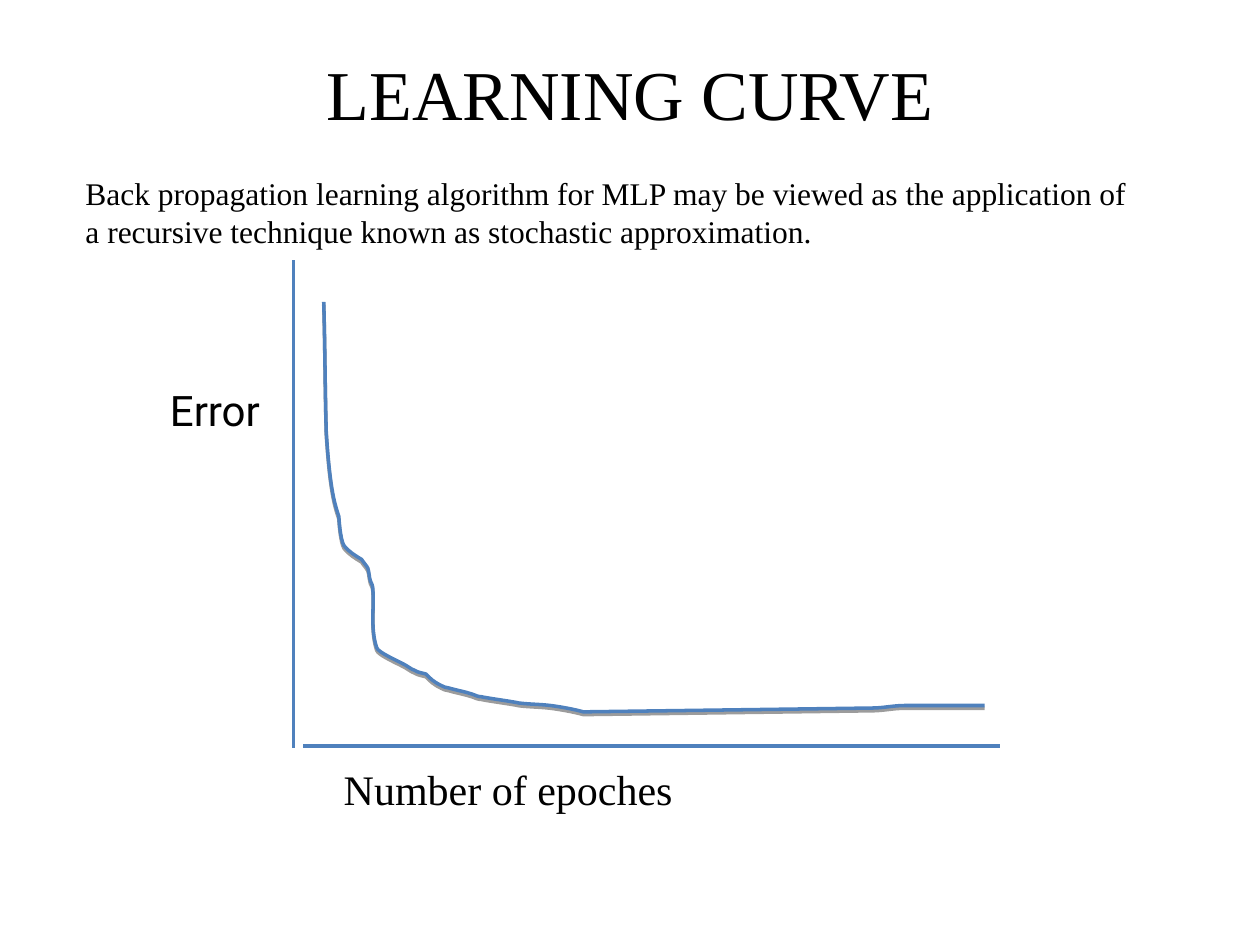
from lxml import etree
from pptx import Presentation
from pptx.dml.color import RGBColor
from pptx.enum.shapes import MSO_CONNECTOR
from pptx.enum.text import MSO_ANCHOR, PP_ALIGN
from pptx.oxml.ns import qn
from pptx.util import Inches, Pt

STRAIGHT = MSO_CONNECTOR.STRAIGHT
LEFT, CENTER = PP_ALIGN.LEFT, PP_ALIGN.CENTER
TOP, MIDDLE = MSO_ANCHOR.TOP, MSO_ANCHOR.MIDDLE

COLORS = {"text": "000000", "line": "4F81BD", "shadow": "000000"}
SERIF, SANS = "Times New Roman", "Roboto"

# Each segment is two control points and an end point, or an end point alone.
CURVE_START = (2.57, 2.41)
CURVE_SEGMENTS = [
    [(2.58, 2.75), (2.58, 3.09), (2.59, 3.43)],
    [(2.6, 3.59), (2.62, 3.85), (2.66, 4)],
    [(2.67, 4.04), (2.68, 4.07), (2.69, 4.1)],
    [(2.69, 4.11), (2.7, 4.28), (2.73, 4.33)],
    [(2.77, 4.38), (2.82, 4.41), (2.87, 4.44)],
    [(2.89, 4.47), (2.91, 4.49), (2.92, 4.51)],
    [(2.93, 4.54), (2.93, 4.58), (2.94, 4.61)],
    [(2.95, 4.63), (2.96, 4.65), (2.96, 4.68)],
    [(2.97, 4.83), (2.94, 4.99), (2.99, 5.14)],
    [(3, 5.18), (3.17, 5.25), (3.22, 5.28)],
    [(3.24, 5.29), (3.26, 5.31), (3.29, 5.32)],
    [(3.32, 5.34), (3.35, 5.34), (3.38, 5.35)],
    [(3.42, 5.39), (3.44, 5.41), (3.5, 5.44)],
    [(3.52, 5.45), (3.54, 5.46), (3.56, 5.46)],
    [(3.63, 5.48), (3.69, 5.49), (3.75, 5.51)],
    [(3.77, 5.52), (3.8, 5.53), (3.82, 5.53)],
    [(3.86, 5.54), (4.08, 5.57), (4.12, 5.58)],
    [(4.2, 5.59), (4.29, 5.59), (4.37, 5.6)],
    [(4.45, 5.61), (4.56, 5.63), (4.63, 5.65)],
    [(6.92, 5.62)],
    [(7.01, 5.62), (7.09, 5.6), (7.18, 5.6)],
    [(7.38, 5.6), (7.59, 5.6), (7.8, 5.6)],
]


class SlideBuilder:
    """Holds the slide and the style shared by its elements."""

    line_width = Pt(2)

    def __init__(self, slide):
        self.slide = slide

    def text(self, box, wording, size, font=SERIF, align=LEFT, anchor=TOP):
        frame = self.slide.shapes.add_textbox(*map(Inches, box)).text_frame
        frame.word_wrap = True
        frame.vertical_anchor = anchor
        paragraph = frame.paragraphs[0]
        paragraph.alignment = align
        run = paragraph.add_run()
        run.text = wording
        run.font.size = Pt(size)
        run.font.name = font
        run.font.color.rgb = RGBColor.from_string(COLORS["text"])

    def style_line(self, shape):
        shape.line.color.rgb = RGBColor.from_string(COLORS["line"])
        shape.line.width = self.line_width
        shape._element.spPr.find(qn("a:ln")).set("cap", "sq")

    def axis(self, start, end):
        axis = self.slide.shapes.add_connector(STRAIGHT, *map(Inches, start + end))
        self.style_line(axis)
        etree.SubElement(axis._element.spPr, qn("a:effectLst"))

    def curve(self, start, segments):
        builder = self.slide.shapes.build_freeform(*map(Inches, start))
        ends = [tuple(map(Inches, segment[-1])) for segment in segments]
        builder.add_line_segments(ends, close=False)
        curve = builder.convert_to_shape()
        self.bend(curve, segments)
        curve.fill.background()
        self.style_line(curve)
        curve.shadow.inherit = False
        self.drop_shadow(curve)

    def bend(self, shape, segments):
        """Turn the lines that have control points into cubic curves."""
        lines = list(shape._element.spPr.iter(qn("a:lnTo")))
        for line, segment in zip(lines, segments):
            if len(segment) == 1:
                continue
            cubic = etree.Element(qn("a:cubicBezTo"))
            for x, y in segment:
                etree.SubElement(cubic, qn("a:pt"), x=str(Inches(x) - shape.left),
                                 y=str(Inches(y) - shape.top))
            line.getparent().replace(line, cubic)

    def drop_shadow(self, shape):
        """Add a sharp shadow straight below the shape."""
        effects = shape._element.spPr.find(qn("a:effectLst"))
        shadow = etree.SubElement(effects, qn("a:outerShdw"), blurRad="0",
                                  dist=str(Pt(1.6)), dir="5400000", rotWithShape="0")
        color = etree.SubElement(shadow, qn("a:srgbClr"), val=COLORS["shadow"])
        etree.SubElement(color, qn("a:alpha"), val="38000")


def main():
    presentation = Presentation()
    presentation.slide_width, presentation.slide_height = Inches(10), Inches(7.5)
    builder = SlideBuilder(presentation.slides.add_slide(presentation.slide_layouts[6]))

    builder.text((0.5, 0.3, 9, 0.87), "LEARNING CURVE", 40, align=CENTER, anchor=MIDDLE)
    builder.text((2.63, 6.01, 4, 0.5), "Number of epoches", 24)
    builder.axis((2.33, 2.08), (2.33, 5.92))
    builder.axis((2.42, 5.92), (7.92, 5.92))
    builder.curve(CURVE_START, CURVE_SEGMENTS)
    builder.text((1.25, 3, 1.58, 0.5), "Error", 24, font=SANS)
    builder.text((0.58, 1.33, 8.58, 0.7),
                 "Back propagation learning algorithm for MLP may be viewed as the "
                 "application of a recursive technique known as stochastic approximation.", 18)
    presentation.save("out.pptx")


if __name__ == "__main__":
    main()
